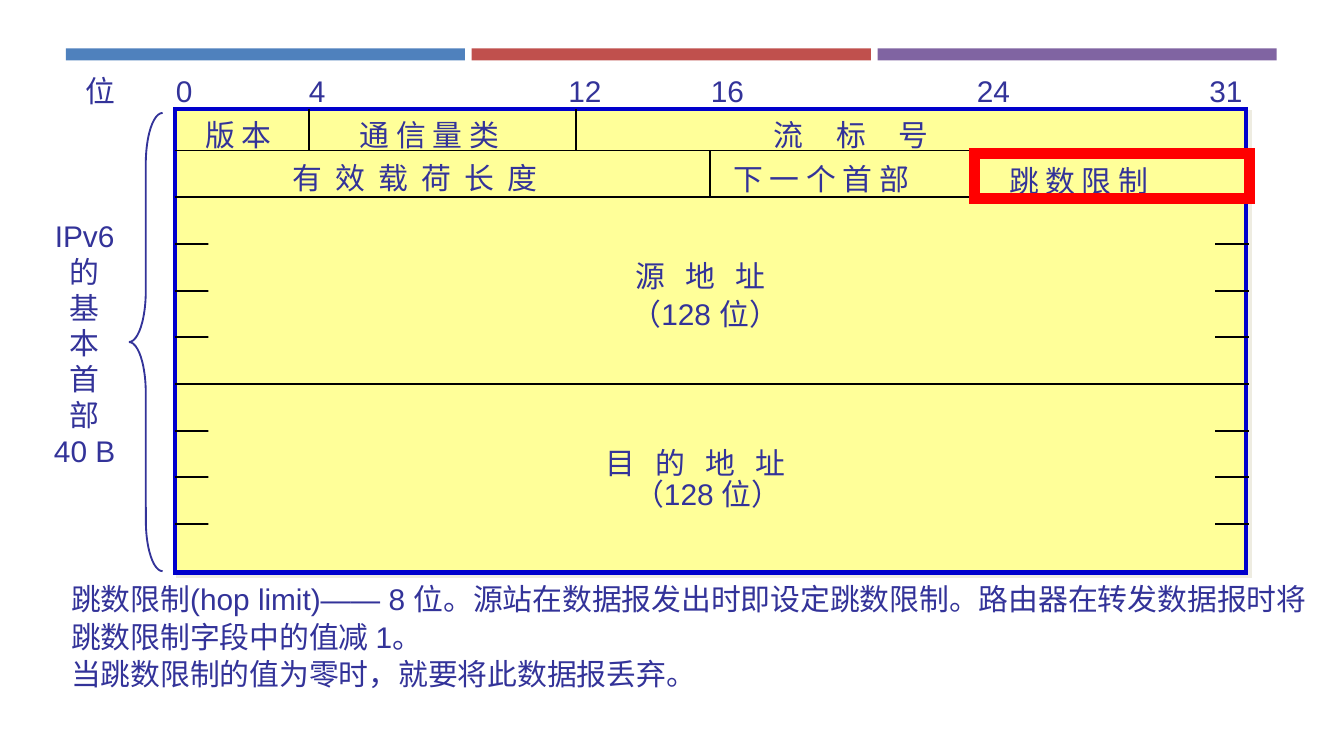
from dataclasses import dataclass, field

from lxml import etree
from pptx import Presentation
from pptx.dml.color import RGBColor
from pptx.enum.shapes import MSO_CONNECTOR, MSO_SHAPE
from pptx.enum.text import MSO_AUTO_SIZE, PP_ALIGN
from pptx.oxml.ns import qn
from pptx.util import Pt

RECT = MSO_SHAPE.RECTANGLE
BRACE = MSO_SHAPE.LEFT_BRACE
LINE = MSO_CONNECTOR.STRAIGHT
GROW = MSO_AUTO_SIZE.SHAPE_TO_FIT_TEXT
LEFT, MID = PP_ALIGN.LEFT, PP_ALIGN.CENTER
SCALE = 9144


@dataclass
class Theme:
    ink: str = "333399"
    rule: str = "000000"
    fill: str = "FFFF99"
    edge: str = "0000CC"
    mark: str = "FF0000"
    shade: str = "EEECE1"
    bars: tuple = ("4F81BD", "C0504D", "8064A2")
    font: dict = field(default_factory=lambda: {"name": "Arial", "size": Pt(16)})


THEME = Theme()


def px(*vals):
    return [round(val * SCALE) for val in vals]


def tint(color, code):
    color.rgb = RGBColor.from_string(code)


def shape(slide, kind, box, fill=None, edge=None, width=1):
    item = slide.shapes.add_shape(kind, *px(*box))
    item.shadow.inherit = False
    if fill:
        item.fill.solid()
        tint(item.fill.fore_color, fill)
    else:
        item.fill.background()
    if edge:
        tint(item.line.color, edge)
        item.line.width = Pt(width)
        etree.SubElement(item._element.spPr.find(qn("a:ln")), qn("a:miter"), lim="800000")
    else:
        item.line.fill.background()
    return item


def line(slide, x1, y1, x2, y2):
    item = slide.shapes.add_connector(LINE, *px(x1, y1, x2, y2))
    tint(item.line.color, THEME.rule)
    item.line.width = Pt(1)
    etree.SubElement(item._element.spPr, qn("a:effectLst"))


def text(slide, box, lines, wrap=False, gap=0, **form):
    frame = slide.shapes.add_textbox(*px(*box)).text_frame
    frame.word_wrap = wrap
    frame.auto_size = GROW
    for num, words in enumerate(lines):
        para = frame.add_paragraph() if num else frame.paragraphs[0]
        for key, val in form.items():
            setattr(para, key, val)
        run = para.add_run()
        run.text = words
        for key, val in THEME.font.items():
            setattr(run.font, key, val)
        tint(run.font.color, THEME.ink)
        if gap:
            run._r.get_or_add_rPr().set("spc", str(gap))


def shade(item):
    effect = item._element.spPr.find(qn("a:effectLst"))
    drop = etree.SubElement(effect, qn("a:outerShdw"), dist="35560", dir="2700000")
    etree.SubElement(drop, qn("a:srgbClr"), val=THEME.shade)


def bars(slide, box):
    x, y, w, h = box
    step = (w + 5) / 3
    for num, code in enumerate(THEME.bars):
        shape(slide, RECT, (x + num * step, y, step - 5, h), code)


def ruler(slide, box):
    x, y, w, h = box
    marks = [("位", 0, 42), ("0", 67, 32), ("4", 166, 32), ("12", 359, 45),
             ("16", 465, 45), ("24", 663, 45), ("31", 836, 45)]
    for words, left, wide in marks:
        text(slide, (x + left, y, wide, h), [words])


def header(slide, box):
    x, y, w, h = box
    shade(shape(slide, RECT, box, THEME.fill, THEME.edge, 2.25))
    rows = [y + 31 + num * 34.75 for num in range(9)]
    for row in rows:
        line(slide, x, row, x + w + 2, row)
    for bit, top, low in [(4, y, rows[0]), (12, y, rows[0]),
                          (16, rows[0], rows[1]), (24, rows[0], rows[1])]:
        col = x + bit * w / 32
        line(slide, col, top, col, low)
    for top in (89, 228):
        shape(slide, RECT, (x + 25, y + top, w - 48, 93), THEME.fill)
    labels = [("版 本", 13, 1, 71, 0), ("通 信 量 类", 128, 1, 129, 0),
              ("流 标 号", 436, 1, 150, 700),
              ("有 效 载 荷 长 度", 78, 33, 218, 177),
              ("下 一 个 首 部", 406, 34, 157, 0),
              ("跳 数 限 制", 611, 35, 129, 0),
              ("源 地 址", 333, 106, 125, 365), ("（128 位）", 330, 134, 131, 0),
              ("目 的 地 址", 311, 245, 167, 365), ("（128 位）", 332, 268, 131, 0)]
    for words, left, top, wide, gap in labels:
        text(slide, (x + left, y + top, wide, 37), [words], gap=gap)
    shape(slide, RECT, (x + 595, y + 33, 205, 34), edge=THEME.mark, width=6)


def side(slide, box):
    x, y, w, h = box
    brace = shape(slide, BRACE, (x + w - 25, y, 25, h), edge=THEME.ink)
    brace.adjustments[0] = 1.517
    text(slide, (x, y + 73, w - 25, 225), ["IPv6", *"的基本首部", "40 B"],
         alignment=MID)


def note(slide, box):
    text(slide, box, [
        "跳数限制(hop limit)—— 8 位。源站在数据报发出时即设定跳数限制。"
        "路由器在转发数据报时将跳数限制字段中的值减 1。",
        "当跳数限制的值为零时，就要将此数据报丢弃。",
    ], wrap=True, alignment=LEFT, line_spacing=1.05)


def main():
    deck = Presentation()
    deck.slide_width, = px(1000)
    deck.slide_height = deck.slide_width * 9 // 16
    slide = deck.slides.add_slide(deck.slide_layouts[6])
    bars(slide, (49, 36, 901, 9))
    header(slide, (130, 81, 797, 345))
    ruler(slide, (54, 49, 881, 37))
    side(slide, (30, 84, 91, 341))
    note(slide, (43, 426, 945, 95))
    deck.save("out.pptx")


if __name__ == "__main__":
    main()
